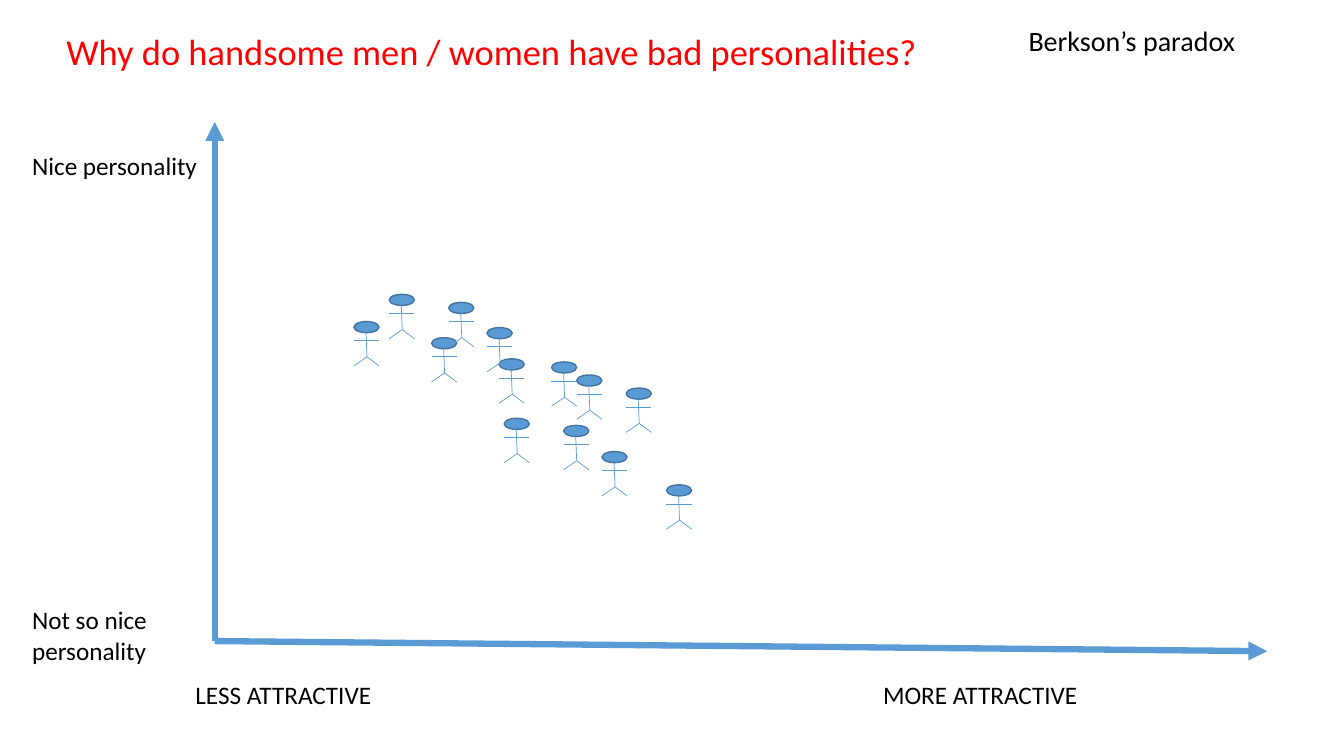
from lxml.etree import SubElement
from pptx import Presentation
from pptx.dml.color import RGBColor
from pptx.enum.shapes import MSO_CONNECTOR, MSO_SHAPE
from pptx.enum.text import MSO_ANCHOR, MSO_AUTO_SIZE, PP_ALIGN
from pptx.oxml.ns import qn
from pptx.util import Inches, Pt

BLUE, DARK_BLUE, BLACK, RED = "5B9BD5", "43739E", "000000", "FF0000"
color = RGBColor.from_string


def write(box, lines, size, hue):
    frame = box.text_frame
    frame.word_wrap = True
    frame.auto_size = MSO_AUTO_SIZE.NONE
    for index, line in enumerate(lines):
        para = frame.add_paragraph() if index else frame.paragraphs[0]
        span = para.add_run()
        span.text = line
        span.font.name = "Calibri"
        span.font.size = Pt(size)
        span.font.color.rgb = color(hue)


def draw_line(shapes, start, end, width, arrow=False):
    x1, y1, x2, y2 = (Inches(value) for value in (*start, *end))
    line = shapes.add_connector(MSO_CONNECTOR.STRAIGHT, x1, y1, x2, y2)
    line.line.color.rgb = color(BLUE)
    line.line.width = Pt(width)
    if arrow:
        SubElement(line.line._get_or_add_ln(), qn("a:tailEnd"), type="triangle")
    SubElement(line._element.spPr, qn("a:effectLst"))


deck = Presentation()
deck.slide_width, deck.slide_height = Inches(13.33), Inches(7.5)
page = deck.slides.add_slide(deck.slide_layouts[5])

# Title
title = page.shapes.title
title.left, title.top = Inches(0.85), Inches(0.21)
title.width, title.height = Inches(11.5), Inches(0.42)
write(title, ["Berkson’s paradox"], 20, BLACK)
title.text_frame.vertical_anchor = MSO_ANCHOR.MIDDLE
title.text_frame.paragraphs[0].alignment = PP_ALIGN.RIGHT
title.text_frame.paragraphs[0].line_spacing = 0.9

# Axes
origin = (2.13, 6.36)
for tip in [(2.13, 1.21), (12.57, 6.46)]:
    draw_line(page.shapes, origin, tip, 4.5, arrow=True)

# Stick figures, placed by the top left corner of the head
figures = [
    (4.95, 3.56), (4.28, 3.35), (5.72, 3.72), (6.21, 3.85), (4.45, 3.0),
    (4.83, 3.25), (3.51, 3.19), (3.86, 2.92), (5.47, 3.59), (5.59, 4.22),
    (5.97, 4.48), (5.0, 4.15), (6.61, 4.81),
]
limbs = [
    ((0.12, 0.11), (0.13, 0.35)),  # body
    ((0.13, 0.35), (0, 0.44)),     # left leg
    ((0.25, 0.44), (0.13, 0.35)),  # right leg
    ((0, 0.19), (0.25, 0.19)),     # arms
]
for left, top in figures:
    figure = page.shapes.add_group_shape()
    head = figure.shapes.add_shape(
        MSO_SHAPE.OVAL, Inches(left), Inches(top), Inches(0.25), Inches(0.11))
    head.shadow.inherit = False
    head.fill.solid()
    head.fill.fore_color.rgb = color(BLUE)
    head.line.color.rgb = color(DARK_BLUE)
    head.line.width = Pt(1)
    for (x1, y1), (x2, y2) in limbs:
        draw_line(figure.shapes, (left + x1, top + y1), (left + x2, top + y2), 0.5)

# Axis labels and question
labels = [
    (1.84, 6.69, 2.4, 0.4, ["LESS ATTRACTIVE"], 18, BLACK),
    (8.66, 6.69, 2.44, 0.4, ["MORE ATTRACTIVE"], 18, BLACK),
    (0.22, 1.44, 2.12, 0.4, ["Nice personality"], 18, BLACK),
    (0.22, 5.95, 2.12, 0.74, ["Not so nice", "personality"], 18, BLACK),
    (0.56, 0.24, 9.37, 0.54,
     ["Why do handsome men / women have bad personalities?"], 26, RED),
]
for left, top, width, height, lines, size, hue in labels:
    box = page.shapes.add_textbox(
        Inches(left), Inches(top), Inches(width), Inches(height))
    write(box, lines, size, hue)

deck.save("out.pptx")
